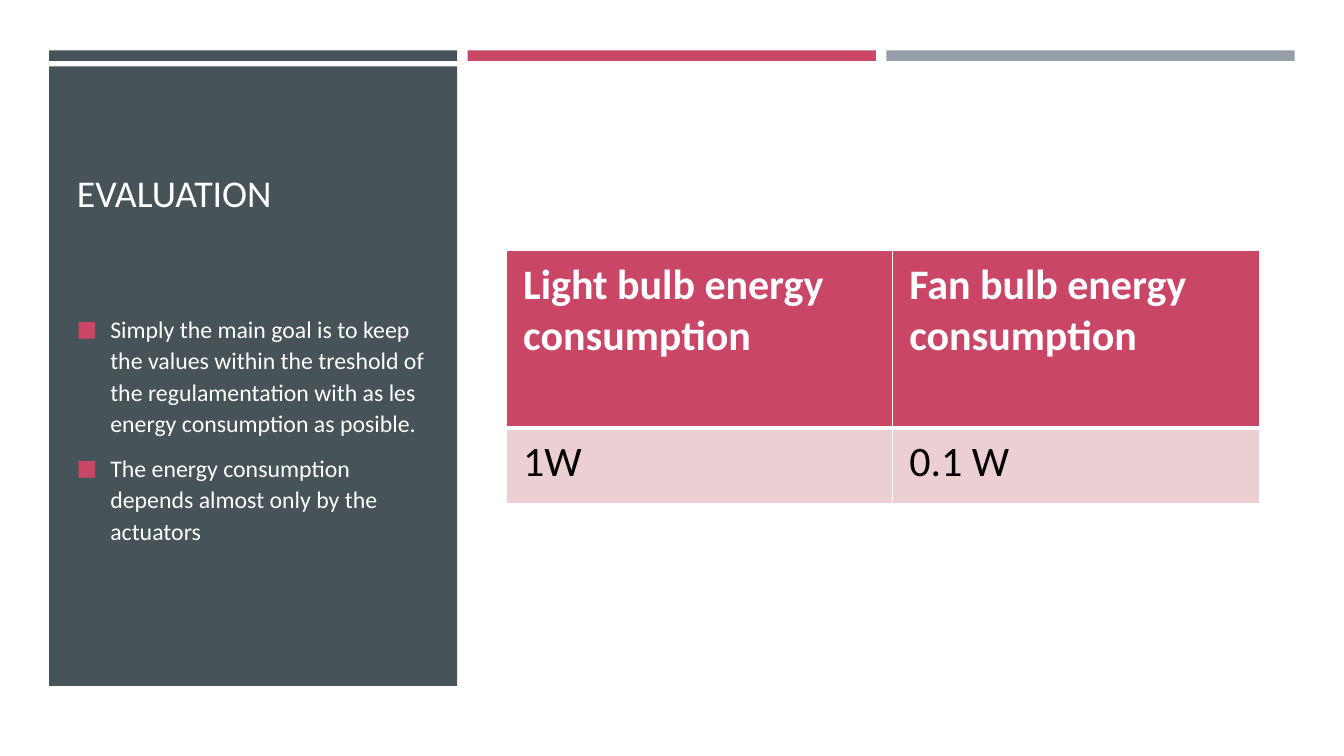
from lxml import etree
from pptx import Presentation
from pptx.dml.color import RGBColor
from pptx.enum.shapes import MSO_SHAPE
from pptx.enum.text import MSO_ANCHOR, MSO_AUTO_SIZE, PP_ALIGN
from pptx.oxml.ns import qn
from pptx.util import Pt

RECTANGLE = MSO_SHAPE.RECTANGLE
MIDDLE, BOTTOM = MSO_ANCHOR.MIDDLE, MSO_ANCHOR.BOTTOM
NO_AUTOFIT = MSO_AUTO_SIZE.NONE
LEFT = PP_ALIGN.LEFT

SLATE, ROSE, GREY, BLUSH = "465359", "CA4667", "969FA7", "ECCFD3"
WHITE, BLACK = "FFFFFF", "000000"


def color(value):
    return RGBColor.from_string(value)


class SlideBuilder:
    font_name = "Calibri"

    def __init__(self, deck):
        self.page = deck.slides.add_slide(deck.slide_layouts[5])
        self.page.background.fill.solid()
        self.page.background.fill.fore_color.rgb = color(WHITE)

    def style(self, para, size, ink, bold=False):
        font = para.font
        font.name, font.size, font.bold = self.font_name, Pt(size), bold
        font.color.rgb = color(ink)

    def bar(self, left, top, width, height, fill):
        shape = self.page.shapes.add_shape(
            RECTANGLE, Pt(left), Pt(top), Pt(width), Pt(height))
        shape.shadow.inherit = False
        shape.fill.solid()
        shape.fill.fore_color.rgb = color(fill)
        shape.line.fill.background()

    def title(self, text, left, top, width, height, size):
        title = self.page.shapes.title
        title.left, title.top = Pt(left), Pt(top)
        title.width, title.height = Pt(width), Pt(height)
        frame = title.text_frame
        frame.text = text
        frame.word_wrap, frame.auto_size = True, NO_AUTOFIT
        frame.vertical_anchor = BOTTOM
        para = frame.paragraphs[0]
        para.alignment, para.line_spacing = LEFT, 0.9
        self.style(para, size, WHITE)
        # Bring the title in front of the panel
        self.page.shapes._spTree.append(title._element)

    def bullets(self, items, left, top, width, height, size):
        box = self.page.shapes.add_textbox(
            Pt(left), Pt(top), Pt(width), Pt(height))
        frame = box.text_frame
        frame.word_wrap, frame.vertical_anchor = True, MIDDLE
        for index, item in enumerate(items):
            para = frame.add_paragraph() if index else frame.paragraphs[0]
            para.text = item
            para.line_spacing = 1.1
            para.space_before, para.space_after = Pt(0.2 * size), Pt(6)
            self.style(para, size, WHITE)
            self.bullet_mark(para)

    def bullet_mark(self, para):
        props = para._p.get_or_add_pPr()
        props.set("marL", str(Pt(24)))
        props.set("indent", str(Pt(-24)))
        marks = [etree.Element(qn(tag)) for tag in
                 ("a:buClr", "a:buSzPct", "a:buFont", "a:buChar")]
        etree.SubElement(marks[0], qn("a:srgbClr")).set("val", ROSE)
        marks[1].set("val", "92000")
        marks[2].set("typeface", self.font_name)
        marks[3].set("char", "■")
        position = props.index(props.find(qn("a:defRPr")))
        props[position:position] = marks

    def table(self, rows, left, top, widths, heights, size):
        frame = self.page.shapes.add_table(
            len(rows), len(widths), Pt(left), Pt(top),
            Pt(sum(widths)), Pt(sum(heights)))
        table = frame.table
        for column, width in zip(table.columns, widths):
            column.width = Pt(width)
        for r, (row, height) in enumerate(zip(rows, heights)):
            table.rows[r].height = Pt(height)
            header = r == 0
            for c, text in enumerate(row):
                cell = table.cell(r, c)
                cell.text = text
                cell.margin_left = cell.margin_right = Pt(12)
                cell.margin_top = cell.margin_bottom = Pt(6)
                self.style(cell.text_frame.paragraphs[0], size,
                           WHITE if header else BLACK, header)
                self.borders(cell, top=1 if header else 3,
                             bottom=3 if header else 1)
                cell.fill.solid()
                cell.fill.fore_color.rgb = color(ROSE if header else BLUSH)

    def borders(self, cell, top, bottom):
        props = cell._tc.get_or_add_tcPr()
        for side, width in zip("LRTB", (1, 1, top, bottom)):
            line = etree.SubElement(props, qn(f"a:ln{side}"), w=str(Pt(width)))
            fill = etree.SubElement(line, qn("a:solidFill"))
            etree.SubElement(fill, qn("a:srgbClr")).set("val", WHITE)


def main():
    deck = Presentation()
    deck.slide_width, deck.slide_height = Pt(960), Pt(540)
    slide = SlideBuilder(deck)

    # Top bars and side panel
    for index, fill in enumerate((SLATE, ROSE, GREY)):
        slide.bar(35 + index * 299.1, 36, 291.6, 7.5, fill)
    slide.bar(35, 47.5, 291.6, 442.5, SLATE)

    # Panel text
    slide.title("EVALUATION", 47.7, 55.5, 268.5, 102, 27)
    slide.bullets(
        ["Simply the main goal is to keep the values within the treshold of "
         "the regulamentation with as les energy consumption as posible.",
         "The energy consumption depends almost only by the actuators"],
        47.7, 171.5, 268.5, 269, 17)

    # Consumption table
    slide.table(
        [["Light bulb energy consumption", "Fan bulb energy consumption"],
         ["1W", "0.1 W"]],
        361.7, 179.2, (275.8, 262), (126.7, 54), 30)

    deck.save("out.pptx")


if __name__ == "__main__":
    main()
